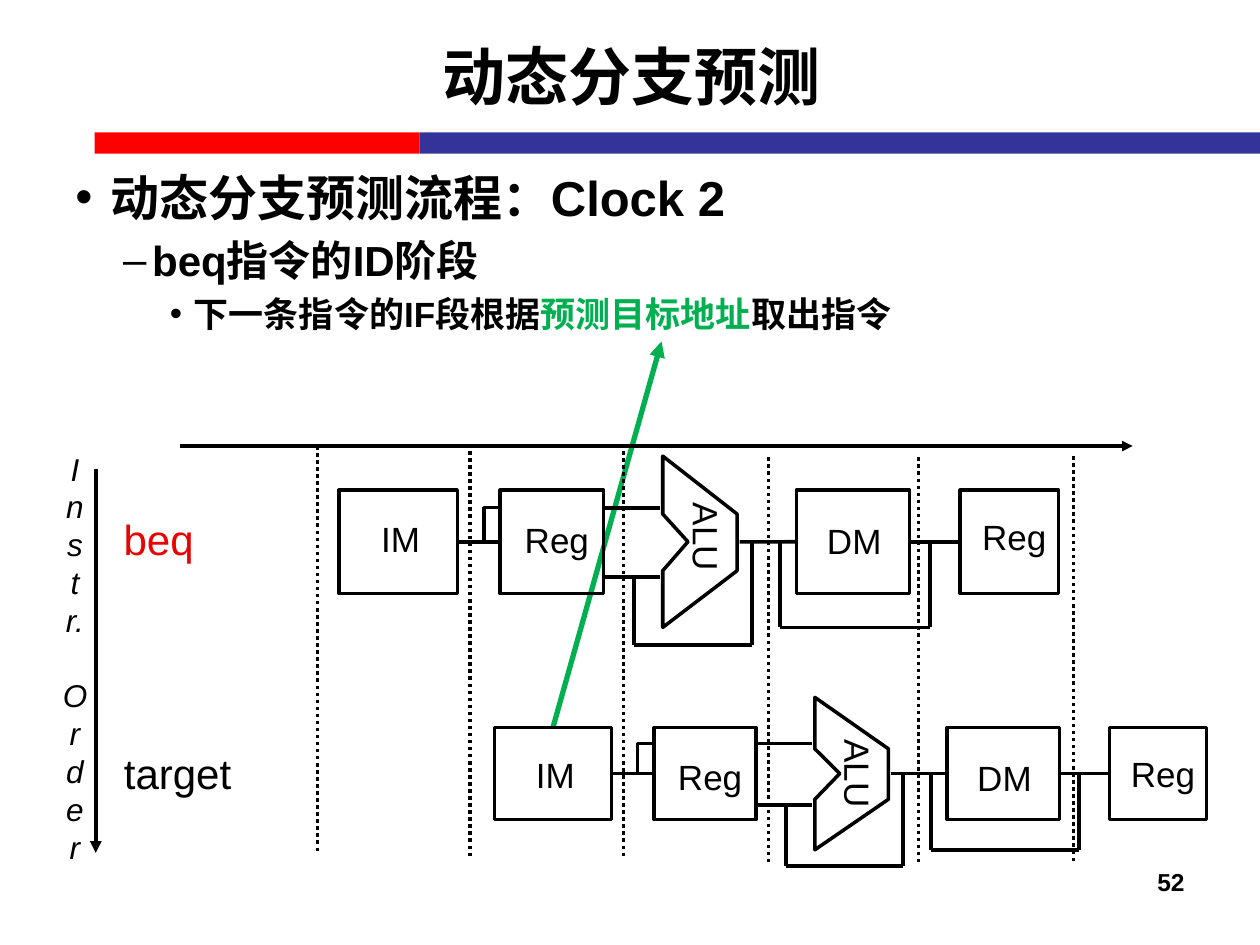
"""Build the slide on dynamic branch prediction, clock 2."""
from dataclasses import dataclass
from itertools import pairwise

from lxml import etree
from pptx import Presentation
from pptx.dml.color import RGBColor
from pptx.enum import dml, shapes, text
from pptx.oxml import ns
from pptx.util import Inches, Pt


@dataclass(frozen=True)
class Theme:
    """Colours, font and sizes of the slide."""
    font: str = "Arial"
    black: str = "000000"
    red: str = "FF0000"
    blue: str = "333399"
    green: str = "00B050"
    branch: str = "E70303"
    title: int = 36
    levels: tuple = (28, 24, 20)
    row: int = 24
    stage: int = 20
    order: int = 18
    number: int = 14
    thin: float = 2
    thick: float = 2.25
    accent: float = 3


THEME = Theme()


@dataclass(frozen=True)
class Row:
    """Maps first-row stage coordinates onto one instruction row."""
    middle: float
    label_middle: float
    shift: float = 0
    x_scale: float = 1
    y_scale: float = 1

    def point(self, x, y):
        """Place a point whose y is measured from the row's middle."""
        return self.shift + x * self.x_scale, self.middle + y * self.y_scale


def add_run(paragraph, wording, size, color=THEME.black, bold=False, italic=False):
    """Add one formatted run."""
    run = paragraph.add_run()
    run.text = wording
    run.font.name = THEME.font
    run.font.size = Pt(size)
    run.font.bold = bold
    run.font.italic = italic
    run.font.color.rgb = RGBColor.from_string(color)


def add_box(slide, left, top, width, height, wrap=True):
    """Add a text box and return its shape."""
    shape = slide.shapes.add_textbox(*map(Inches, (left, top, width, height)))
    shape.text_frame.word_wrap = wrap
    if not wrap:
        shape.text_frame.auto_size = text.MSO_AUTO_SIZE.SHAPE_TO_FIT_TEXT
    return shape


def add_label(slide, wording, center, box, size=THEME.stage, color=THEME.black, rotation=0):
    """Add a single-line label around its centre point."""
    (x, y), (width, height) = center, box
    shape = add_box(slide, x - width / 2, y - height / 2, width, height, wrap=False)
    shape.rotation = rotation
    paragraph = shape.text_frame.paragraphs[0]
    paragraph.alignment = text.PP_ALIGN.CENTER
    add_run(paragraph, wording, size, color)


def set_line(shape, color, width):
    """Give a shape or connector a solid line."""
    shape.line.color.rgb = RGBColor.from_string(color)
    shape.line.width = Pt(width)


def add_line(slide, start, end, width=THEME.thin, color=THEME.black, arrow=False, dotted=False):
    """Add a straight connector."""
    connector = slide.shapes.add_connector(
        shapes.MSO_CONNECTOR.STRAIGHT, *map(Inches, (*start, *end)))
    set_line(connector, color, width)
    if dotted:
        connector.line.dash_style = dml.MSO_LINE.ROUND_DOT
    if arrow:
        etree.SubElement(connector.line._get_or_add_ln(), ns.qn("a:tailEnd"), type="triangle")
    etree.SubElement(connector._element.spPr, ns.qn("a:effectLst"))
    return connector


def add_outline(slide, points, close):
    """Add an unfilled freeform through the points."""
    start, *corners = [(Inches(x), Inches(y)) for x, y in points]
    builder = slide.shapes.build_freeform(*start)
    builder.add_line_segments(corners, close=close)
    shape = builder.convert_to_shape()
    shape.shadow.inherit = False
    shape.fill.background()
    set_line(shape, THEME.black, THEME.thin)


def add_rectangle(slide, left, top, width, height, fill=None):
    """Add a filled bar, or an outlined stage box when no fill is given."""
    shape = slide.shapes.add_shape(
        shapes.MSO_SHAPE.RECTANGLE, *map(Inches, (left, top, width, height)))
    shape.shadow.inherit = False
    if fill:
        shape.fill.solid()
        shape.fill.fore_color.rgb = RGBColor.from_string(fill)
        shape.line.fill.background()
    else:
        shape.fill.background()
        set_line(shape, THEME.black, THEME.thin)
    return shape


def add_stage(slide, row, name, left, right, label_x, label_width, nudge):
    """Add one pipeline stage box with its label."""
    (x1, y1), (x2, y2) = row.point(left, -0.41), row.point(right, 0.41)
    shape = add_rectangle(slide, x1, y1, x2 - x1, y2 - y1)
    center = row.point(label_x, 0)[0], row.label_middle + nudge
    add_label(slide, name, center, (label_width, 0.43))
    return shape


def add_pipeline(slide, row):
    """Add the five stages of one instruction and return the first box."""
    fetch, decode, memory, write = [add_stage(slide, row, *stage) for stage in (
        ("IM", 2.69, 3.63, 3.18, 0.51, -0.01),
        ("Reg", 3.97, 4.79, 4.42, 0.72, 0),
        ("DM", 6.32, 7.22, 6.78, 0.64, 0.01),
        ("Reg", 7.62, 8.4, 8.05, 0.72, -0.02))]
    alu = ((5.26, 0.23), (5.46, 0), (5.26, -0.22), (5.26, -0.68),
           (5.85, -0.22), (5.85, 0.23), (5.26, 0.68))
    add_outline(slide, [row.point(*point) for point in alu], True)
    add_label(slide, "ALU", (row.point(5.61, 0)[0], row.label_middle - 0.02),
              (0.75, 0.43), rotation=90)
    elbow = ((3.84, 0), (3.84, -0.27), (3.97, -0.27))
    add_outline(slide, [row.point(*point) for point in elbow], False)
    for y in (-0.27, 0.28):
        add_line(slide, row.point(4.8, y), row.point(5.24, y))
    for left, right, source, target in (
            (3.63, 3.97, fetch, decode), (5.87, 6.32, None, memory), (7.22, 7.62, memory, write)):
        connector = add_line(slide, row.point(left, 0), row.point(right, 0))
        if source:
            connector.begin_connect(source, 3)
        connector.end_connect(target, 1)
    for left, right, top, bottom in ((5.03, 5.97, 0.28, 0.82), (6.19, 7.38, 0, 0.68)):
        bypass = ((left, top), (left, bottom), (right, bottom), (right, 0))
        for start, end in pairwise(bypass):
            add_line(slide, row.point(*start), row.point(*end), THEME.thick)
    return fetch


def add_title(slide):
    """Add the title and the two-colour bar below it."""
    add_rectangle(slide, 0.75, 1.05, 2.58, 0.17, THEME.red)
    add_rectangle(slide, 3.33, 1.05, 6.67, 0.17, THEME.blue)
    frame = add_box(slide, 0.28, 0.15, 9.46, 0.9).text_frame
    frame.vertical_anchor = text.MSO_ANCHOR.MIDDLE
    frame.paragraphs[0].alignment = text.PP_ALIGN.CENTER
    add_run(frame.paragraphs[0], "动态分支预测", THEME.title, bold=True)


def add_bullets(slide):
    """Add the three-level bullet list."""
    frame = add_box(slide, 0.5, 1.28, 9, 4.95).text_frame
    bullets = (
        ("•", 0.28, 0.28, (("动态分支预测流程：Clock 2", THEME.black),)),
        ("–", 0.61, 0.23, (("beq指令的ID阶段", THEME.black),)),
        ("•", 0.94, 0.19, (("下一条指令的IF段根据", THEME.black),
                           ("预测目标地址", THEME.green), ("取出指令", THEME.black))))
    for level, (mark, margin, hanging, runs) in enumerate(bullets):
        paragraph = frame.add_paragraph() if level else frame.paragraphs[0]
        size = THEME.levels[level]
        paragraph.level = level
        paragraph.space_before = Pt(size * 0.2 if level else 0)
        properties = paragraph._p.get_or_add_pPr()
        properties.set("marL", str(Inches(margin)))
        properties.set("indent", str(-Inches(hanging)))
        etree.SubElement(properties, ns.qn("a:buFont"), typeface=THEME.font)
        etree.SubElement(properties, ns.qn("a:buChar"), char=mark)
        for wording, color in runs:
            add_run(paragraph, wording, size, color, bold=True)


def add_order(slide):
    """Add the vertical instruction-order caption and its arrow."""
    frame = add_box(slide, 0.4, 3.52, 0.39, 3.4, wrap=False).text_frame
    pitch = Pt(21.6)
    for index, letter in enumerate(("I", "n", "s", "t", "r.", "O", "r", "d", "e", "r")):
        paragraph = frame.add_paragraph() if index else frame.paragraphs[0]
        paragraph.alignment = text.PP_ALIGN.CENTER
        paragraph.line_spacing = pitch
        paragraph.space_before = pitch if letter == "O" else Pt(0)
        add_run(paragraph, letter, THEME.order, italic=True)
    add_line(slide, (0.76, 3.72), (0.76, 6.77), THEME.thick, arrow=True)


def main():
    """Build and save the presentation."""
    presentation = Presentation()
    presentation.slide_width, presentation.slide_height = Inches(10), Inches(7.5)
    slide = presentation.slides.add_slide(presentation.slide_layouts[6])
    add_title(slide)
    add_bullets(slide)
    number = add_box(slide, 7.17, 6.83, 2.33, 0.52).text_frame.paragraphs[0]
    number.alignment = text.PP_ALIGN.RIGHT
    add_run(number, "52", THEME.number, bold=True)
    prediction = add_line(slide, (4.4, 5.78), (5.25, 2.71), THEME.accent, THEME.green, arrow=True)
    add_order(slide)
    add_line(slide, (1.43, 3.54), (8.99, 3.54), arrow=True)
    add_label(slide, "beq", (1.26, 4.28), (0.76, 0.5), THEME.row, THEME.branch)
    add_pipeline(slide, Row(4.3, 4.28))
    add_label(slide, "target", (1.41, 6.13), (1.06, 0.5), THEME.row)
    target_fetch = add_pipeline(slide, Row(6.14, 6.16, 1.26, 0.99, 0.89))
    prediction.begin_connect(target_fetch, 0)
    for x, top in ((2.52, 3.54), (3.73, 3.58), (4.95, 3.58), (6.1, 3.63), (7.29, 3.63), (8.52, 3.62)):
        add_line(slide, (x, top), (x, top + 3.23), dotted=True)
    presentation.save("out.pptx")


if __name__ == "__main__":
    main()
